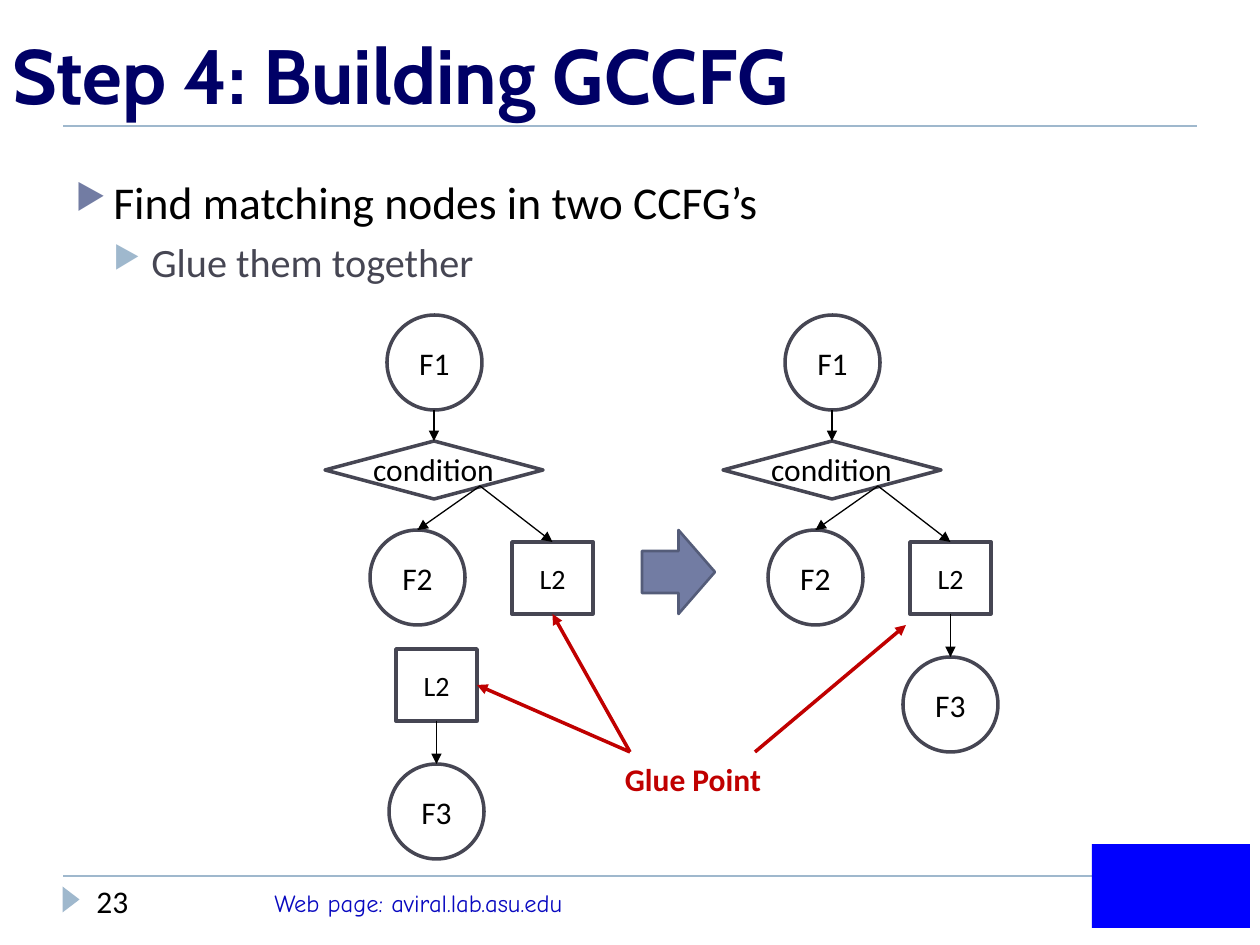
from lxml.etree import SubElement
from pptx import Presentation
from pptx.dml.color import RGBColor
from pptx.enum.shapes import MSO_CONNECTOR, MSO_SHAPE
from pptx.enum.text import MSO_ANCHOR, PP_ALIGN
from pptx.oxml.ns import qn
from pptx.util import Pt

PX = 914400 / 126
BLACK = RGBColor(0, 0, 0)
NAVY = RGBColor(0x00, 0x00, 0x66)
BLUE = RGBColor(0x00, 0x00, 0xFF)
LINK_BLUE = RGBColor(0x08, 0x08, 0xC0)
SLATE = RGBColor(0x46, 0x46, 0x53)
PERIWINKLE = RGBColor(0x72, 0x7C, 0xA3)
PERIWINKLE_DARK = RGBColor(0x54, 0x5C, 0x79)
LIGHT_BLUE = RGBColor(0x9F, 0xB8, 0xCD)
RED = RGBColor(0xC0, 0x00, 0x00)

CIRCLE = 95
LOOP_WIDTH, LOOP_HEIGHT = 81, 72
CALL_GAP = 43


def px(*lengths):
    return [round(length * PX) for length in lengths]


def add_run(paragraph, text, size, color, font="Calibri", bold=False):
    run = paragraph.add_run()
    run.text = text
    run.font.size = Pt(size)
    run.font.name = font
    run.font.bold = bold
    run.font.color.rgb = color


def add_text(slide, box, text, size, color, font="Calibri", bold=False,
             align=PP_ALIGN.LEFT, anchor=MSO_ANCHOR.TOP):
    frame = slide.shapes.add_textbox(*px(*box)).text_frame
    frame.word_wrap = True
    frame.vertical_anchor = anchor
    frame.paragraphs[0].alignment = align
    add_run(frame.paragraphs[0], text, size, color, font, bold)


def add_shape(slide, kind, box, fill=None, line=None, width=2):
    shape = slide.shapes.add_shape(kind, *px(*box))
    shape.shadow.inherit = False
    if fill is None:
        shape.fill.background()
    else:
        shape.fill.solid()
        shape.fill.fore_color.rgb = fill
    if line is None:
        shape.line.fill.background()
    else:
        shape.line.color.rgb = line
        shape.line.width = Pt(width)
    return shape


def add_node(slide, kind, box, label, size=18):
    node = add_shape(slide, kind, box, line=SLATE)
    frame = node.text_frame
    frame.vertical_anchor = MSO_ANCHOR.MIDDLE
    frame.paragraphs[0].alignment = PP_ALIGN.CENTER
    add_run(frame.paragraphs[0], label, size, BLACK)
    return node


def add_function(slide, left, top, label):
    return add_node(slide, MSO_SHAPE.OVAL, (left, top, CIRCLE, CIRCLE), label)


def add_loop(slide, left, top):
    box = (left, top, LOOP_WIDTH, LOOP_HEIGHT)
    return add_node(slide, MSO_SHAPE.RECTANGLE, box, "L2", 16)


def add_line(slide, start, end, color, width):
    line = slide.shapes.add_connector(MSO_CONNECTOR.STRAIGHT, *px(*start, *end))
    line.line.color.rgb = color
    line.line.width = Pt(width)
    SubElement(line._element.spPr, qn("a:effectLst"))
    return line


def add_arrow(slide, start, end, color=BLACK, width=0.75):
    arrow = add_line(slide, start, end, color, width)
    SubElement(arrow.line._get_or_add_ln(), qn("a:tailEnd"), type="triangle")
    return arrow


def build_frame(slide):
    """Rules, footer and the block in the bottom corner."""
    add_line(slide, (63, 876), (1092, 876), LIGHT_BLUE, 1)
    add_line(slide, (63, 126), (1197, 126), LIGHT_BLUE, 1)
    marker = add_shape(slide, MSO_SHAPE.ISOSCELES_TRIANGLE, (58, 891, 26, 17), LIGHT_BLUE)
    marker.rotation = 90
    add_text(slide, (262, 882, 472, 43), "Web page: aviral.lab.asu.edu", 14,
             LINK_BLUE, "Comic Neue")
    add_text(slide, (84, 876, 178, 50), "23", 18, BLACK)
    add_shape(slide, MSO_SHAPE.RECTANGLE, (1092, 844, 158, 84), BLUE)


def build_bullets(slide, box):
    frame = slide.shapes.add_textbox(*px(*box)).text_frame
    frame.word_wrap = True
    items = [
        ("Find matching nodes in two CCFG’s", 26, BLACK, PERIWINKLE, 0),
        ("Glue them together", 23, SLATE, LIGHT_BLUE, 5),
    ]
    indent = px(38)[0]
    for level, (text, size, color, bullet_color, space) in enumerate(items):
        paragraph = frame.add_paragraph() if level else frame.paragraphs[0]
        paragraph.level = level
        paragraph.space_before = Pt(space)
        properties = paragraph._p.get_or_add_pPr()
        properties.set("marL", str(indent * (level + 1)))
        properties.set("indent", str(-indent))
        bullet = SubElement(properties, qn("a:buClr"))
        SubElement(bullet, qn("a:srgbClr"), val=str(bullet_color))
        SubElement(properties, qn("a:buSzPct"), val="76000")
        SubElement(properties, qn("a:buChar"), char="▶")
        add_run(paragraph, text, size, color)


def build_condition_graph(slide, left, top):
    """F1, its condition and both branches; returns the loop node."""
    center = left + 109
    add_function(slide, center - 47, top, "F1")
    diamond = add_shape(slide, MSO_SHAPE.DIAMOND, (left, top + 126, 218, 58), line=SLATE)
    callee = add_function(slide, left + 45, top + 215, "F2")
    loop = add_loop(slide, left + 187, top + 227)

    entry = add_arrow(slide, (center, top + CIRCLE), (center, top + 126))
    entry.end_connect(diamond, 0)
    fork = (left + 155, top + 171)
    for target in (callee, loop):
        add_arrow(slide, fork, fork).end_connect(target, 0)
    add_text(slide, (center - 76, top + 129, 151, 50), "condition", 18, BLACK,
             align=PP_ALIGN.CENTER)
    return loop


def build_call(slide, loop):
    """F3 centred below the loop that calls it."""
    left = round(loop.left / PX) - (CIRCLE - LOOP_WIDTH) // 2
    bottom = round((loop.top + loop.height) / PX)
    callee = add_function(slide, left, bottom + CALL_GAP, "F3")
    call = add_arrow(slide, (left, bottom), (left, bottom + CALL_GAP))
    call.begin_connect(loop, 2)
    call.end_connect(callee, 0)


def build_glue_point(slide, left, top, upper_loop, lower_loop):
    add_text(slide, (left, top, 184, 54), "Glue Point", 18, RED, bold=True,
             align=PP_ALIGN.CENTER, anchor=MSO_ANCHOR.MIDDLE)
    source = (left + 29, top)
    for loop, side in ((upper_loop, 2), (lower_loop, 3)):
        add_arrow(slide, source, source, RED, 2).end_connect(loop, side)
    add_arrow(slide, (left + 154, top), (left + 305, top - 127), RED, 2)


def main():
    presentation = Presentation()
    presentation.slide_width, presentation.slide_height = px(1260, 945)
    slide = presentation.slides.add_slide(presentation.slide_layouts[6])

    build_frame(slide)
    add_text(slide, (0, 0, 1260, 126), "Step 4: Building GCCFG", 44, NAVY, "Cabin",
             bold=True, anchor=MSO_ANCHOR.BOTTOM)
    build_bullets(slide, (63, 168, 1134, 680))

    separate_loop = build_condition_graph(slide, 325, 315)
    called_loop = add_loop(slide, 396, 649)
    build_call(slide, called_loop)
    build_glue_point(slide, 601, 752, separate_loop, called_loop)
    add_shape(slide, MSO_SHAPE.RIGHT_ARROW, (642, 530, 73, 84), PERIWINKLE,
              PERIWINKLE_DARK, 1.5)
    glued_loop = build_condition_graph(slide, 723, 315)
    build_call(slide, glued_loop)

    presentation.save("out.pptx")


if __name__ == "__main__":
    main()
